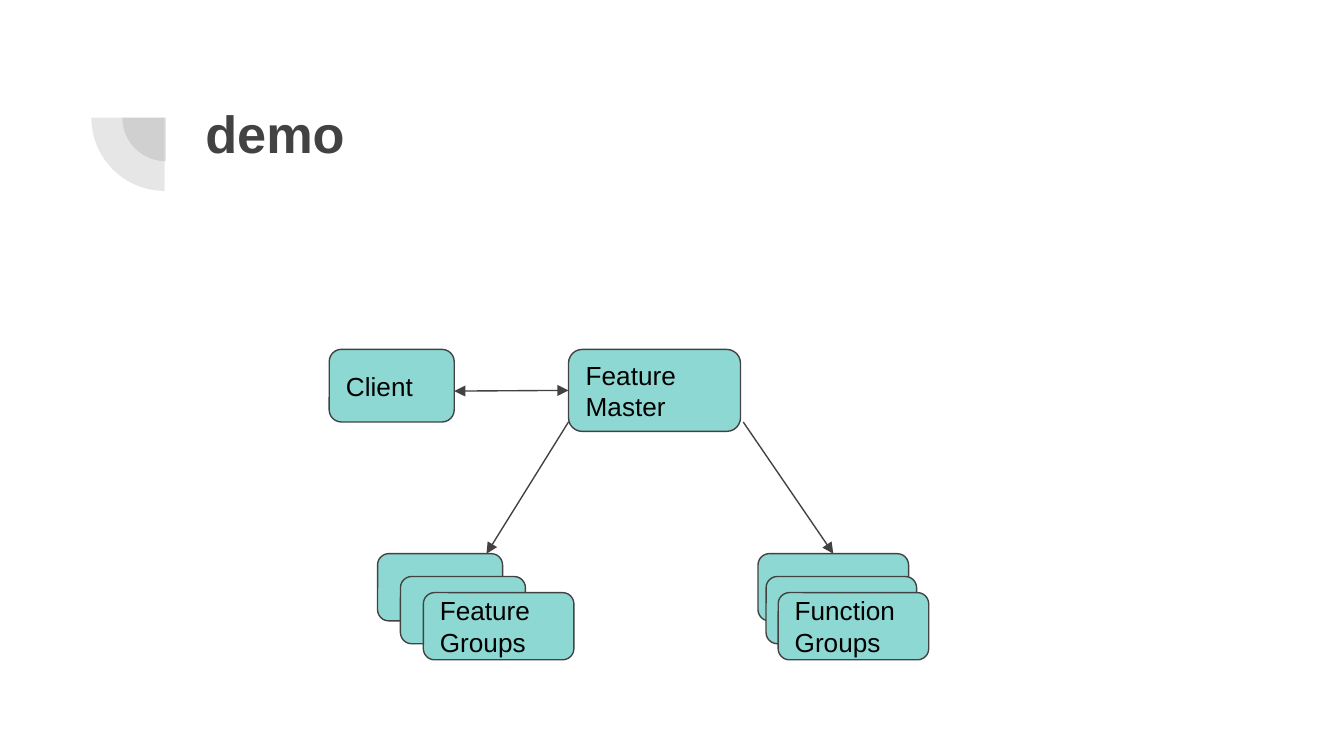
from lxml import etree
from pptx import Presentation
from pptx.dml.color import RGBColor
from pptx.enum.shapes import MSO_CONNECTOR, MSO_SHAPE
from pptx.enum.text import MSO_ANCHOR, PP_ALIGN
from pptx.oxml.ns import qn
from pptx.util import Inches, Pt

DARK = RGBColor(0x42, 0x42, 0x42)
TEAL = RGBColor(0x8D, 0xD8, 0xD3)
BLACK = RGBColor(0, 0, 0)
FONT = "Arial"


def set_text(shape, text, size, color, bold=False):
    frame = shape.text_frame
    frame.text = text
    frame.word_wrap = True
    frame.margin_left = frame.margin_right = Inches(0.1)
    frame.margin_top = frame.margin_bottom = Inches(0.1)
    paragraph = frame.paragraphs[0]
    paragraph.alignment = PP_ALIGN.LEFT
    font = paragraph.runs[0].font
    font.name, font.size, font.bold = FONT, Pt(size), bold
    font.color.rgb = color


def add_quarter(slide, left, top, size):
    shape = slide.shapes.add_shape(
        MSO_SHAPE.PIE, Inches(left), Inches(top), Inches(size), Inches(size))
    shape.adjustments[0] = 108
    shape.adjustments[1] = 162
    shape.rotation = 270
    shape.shadow.inherit = False
    shape.line.fill.background()
    shape.fill.solid()
    shape.fill.fore_color.rgb = DARK
    color = shape.fill._xPr.find(qn("a:solidFill"))[0]
    etree.SubElement(color, qn("a:alpha"), val="13000")


def add_header(slide, left, top, width, height):
    add_quarter(slide, left + 0.23, top - 0.1, 0.65)
    add_quarter(slide, left, top - 0.32, 1.09)
    title = slide.shapes.add_textbox(
        Inches(left + 0.75), Inches(top), Inches(width - 0.75), Inches(height))
    set_text(title, "demo", 28, DARK, bold=True)


def add_box(slide, left, top, width, height, text=""):
    shape = slide.shapes.add_shape(
        MSO_SHAPE.ROUNDED_RECTANGLE,
        Inches(left), Inches(top), Inches(width), Inches(height))
    shape.shadow.inherit = False
    shape.fill.solid()
    shape.fill.fore_color.rgb = TEAL
    shape.line.color.rgb = DARK
    shape.line.width = Pt(0.75)
    if text:
        set_text(shape, text, 14, BLACK)
        shape.text_frame.vertical_anchor = MSO_ANCHOR.MIDDLE
    return shape


def add_stack(slide, left, top, offsets, widths, text):
    rows = zip(offsets, (0, 0.17, 0.29), widths, ("", "", text))
    return [add_box(slide, left + x, top + y, width, 0.5, label)
            for x, y, width, label in rows]


def add_arrow(slide, start, end, ends=("tailEnd",)):
    connector = slide.shapes.add_connector(
        MSO_CONNECTOR.STRAIGHT, *(Inches(value) for value in start + end))
    connector.line.color.rgb = DARK
    connector.line.width = Pt(0.75)
    line = connector.line._get_or_add_ln()
    for name in ends:
        etree.SubElement(line, qn(f"a:{name}"), type="triangle")
    etree.SubElement(connector._element.spPr, qn("a:effectLst"))
    return connector


def add_diagram(slide, left, top):
    master_x, stack_y, arrow_y = left + 1.78, top + 1.52, top + 0.54
    master = add_box(slide, master_x, top, 1.28, 0.61, "Feature Master")
    add_stack(slide, left + 0.36, stack_y, (0, 0.17, 0.34),
              (0.93, 0.93, 1.12), "Feature Groups")
    functions = add_stack(slide, left + 3.19, stack_y, (0, 0.06, 0.15),
                          (1.12, 1.12, 1.12), "Function Groups")
    add_arrow(slide, (master_x, arrow_y), (left + 1.17, stack_y))
    function_arrow = add_arrow(
        slide, (master_x + 1.3, arrow_y), (left + 3.75, stack_y))
    function_arrow.end_connect(functions[0], 0)
    client_arrow = add_arrow(
        slide, (left + 0.93, top + 0.31), (master_x, top + 0.3),
        ("headEnd", "tailEnd"))
    client_arrow.end_connect(master, 1)
    add_box(slide, left, top, 0.93, 0.54, "Client")


def main():
    presentation = Presentation()
    presentation.slide_width = Inches(10)
    presentation.slide_height = Inches(10 * 9 / 16)
    slide = presentation.slides.add_slide(presentation.slide_layouts[6])
    add_header(slide, 0.68, 0.65, 8.44, 1.09)
    add_diagram(slide, 2.45, 2.6)
    presentation.save("out.pptx")


if __name__ == "__main__":
    main()
